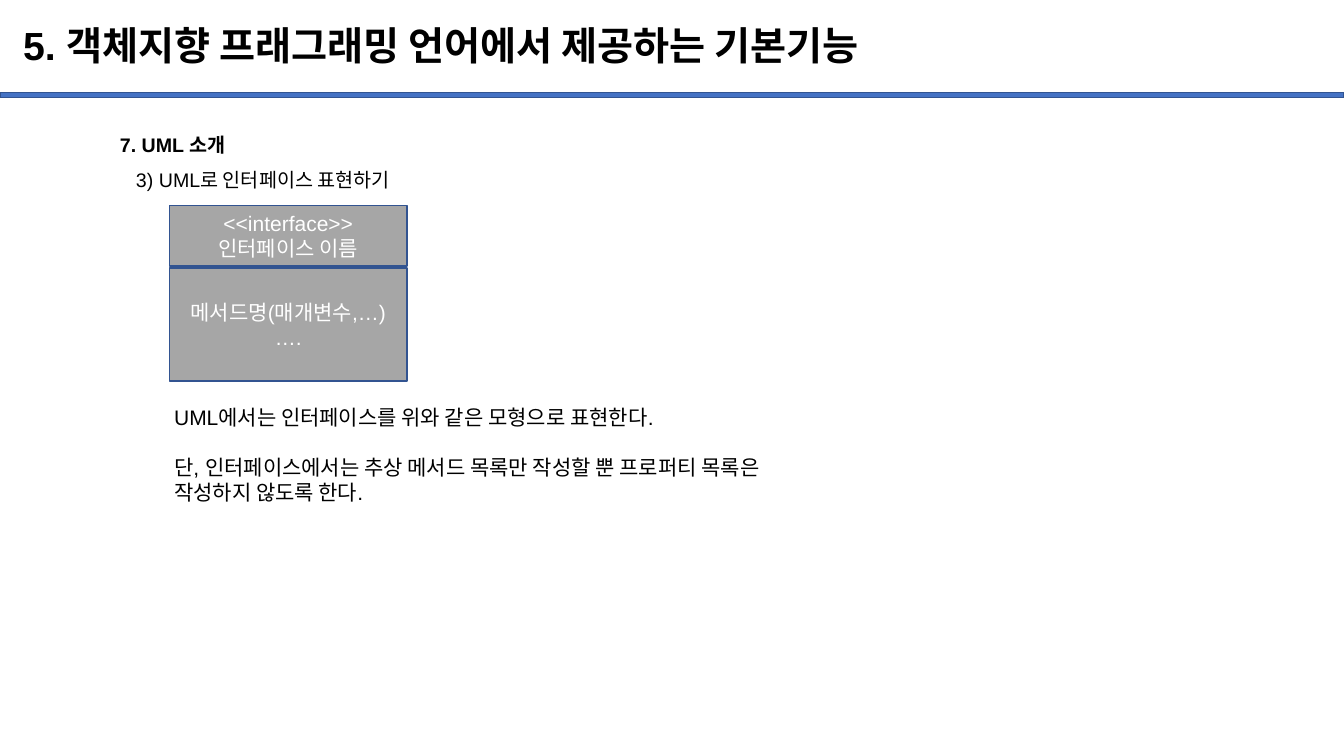
from pptx import Presentation
from pptx.dml.color import RGBColor
from pptx.enum.shapes import MSO_SHAPE
from pptx.enum.text import MSO_ANCHOR, PP_ALIGN
from pptx.util import Inches, Pt

COLORS = {"bar": "4472C4", "edge": "325491", "box": "A6A6A6", "ink": "000000", "light": "FFFFFF"}
FONT = "Arial"

prs = Presentation()
prs.slide_width, prs.slide_height = Inches(13.33), Inches(7.5)
COL, ROW = prs.slide_width / 100, prs.slide_height / 100


def color(name):
    return RGBColor.from_string(COLORS[name])


def place(x, y, w, h):
    return round(x * COL), round(y * ROW), round(w * COL), round(h * ROW)


def write(tf, lines, size, ink="ink", bold=False, align=PP_ALIGN.LEFT, spacing=1.0):
    tf.word_wrap = True
    tf.text = "\n".join(lines)
    for p in tf.paragraphs:
        p.alignment, p.line_spacing = align, spacing
        for r in p.runs:
            r.font.name, r.font.size, r.font.bold = FONT, Pt(size), bold
            r.font.color.rgb = color(ink)


def add_text(s, box, lines, size, **style):
    tf = s.shapes.add_textbox(*place(*box)).text_frame
    write(tf, lines, size, **style)
    return tf


def add_rect(s, box, fill):
    sp = s.shapes.add_shape(MSO_SHAPE.RECTANGLE, *place(*box))
    sp.shadow.inherit = False
    sp.fill.solid()
    sp.fill.fore_color.rgb = color(fill)
    sp.line.color.rgb = color("edge")
    sp.line.width = Pt(1)
    return sp


def add_header(s, box, title):
    x, y, w, h = box
    add_rect(s, (x, y + h - 0.67, w, 0.67), "bar")
    tf = add_text(s, (x + 0.98, y + 1.33, 86.25, 9.87), [title], 28, bold=True, spacing=0.9)
    tf.vertical_anchor = MSO_ANCHOR.MIDDLE


def add_section(s, box, heading, topic):
    tf = add_text(s, box, [heading, topic], 14, spacing=1.5)
    first, second = tf.paragraphs
    first.runs[0].font.bold = True
    second._p.get_or_add_pPr().set("marL", str(Inches(0.16)))


def add_interface(s, box, name_lines, method_lines):
    x, y, w, h = box
    name_h, gap = 8, 0.27
    methods_y = name_h + gap
    parts = [(0, name_h, name_lines), (methods_y, h - methods_y, method_lines)]
    for top, height, lines in parts:
        tf = add_rect(s, (x, y + top, w, height), "box").text_frame
        tf.vertical_anchor = MSO_ANCHOR.MIDDLE
        write(tf, lines, 15, ink="light", align=PP_ALIGN.CENTER)


def add_note(s, box, lines):
    tf = add_text(s, box, lines, 15)
    tf.paragraphs[1].space_before = Pt(18)


def main():
    s = prs.slides.add_slide(prs.slide_layouts[6])
    add_header(s, (0, 0, 100, 12.93), "5. 객체지향 프래그래밍 언어에서 제공하는 기본기능")
    add_section(s, (8.18, 15.33, 87.9, 10.13), "7. UML 소개", "3) UML로 인터페이스 표현하기")
    add_interface(s, (12.6, 27.2, 17.7, 23.2),
                  ["<<interface>>", "인터페이스 이름"],
                  ["메서드명(매개변수,…)", "…."])
    add_note(s, (12.22, 52.8, 50.48, 14.8), [
        "UML에서는 인터페이스를 위와 같은 모형으로 표현한다.",
        "단, 인터페이스에서는 추상 메서드 목록만 작성할 뿐 프로퍼티 목록은",
        "작성하지 않도록 한다.",
    ])
    prs.save("out.pptx")


if __name__ == "__main__":
    main()
